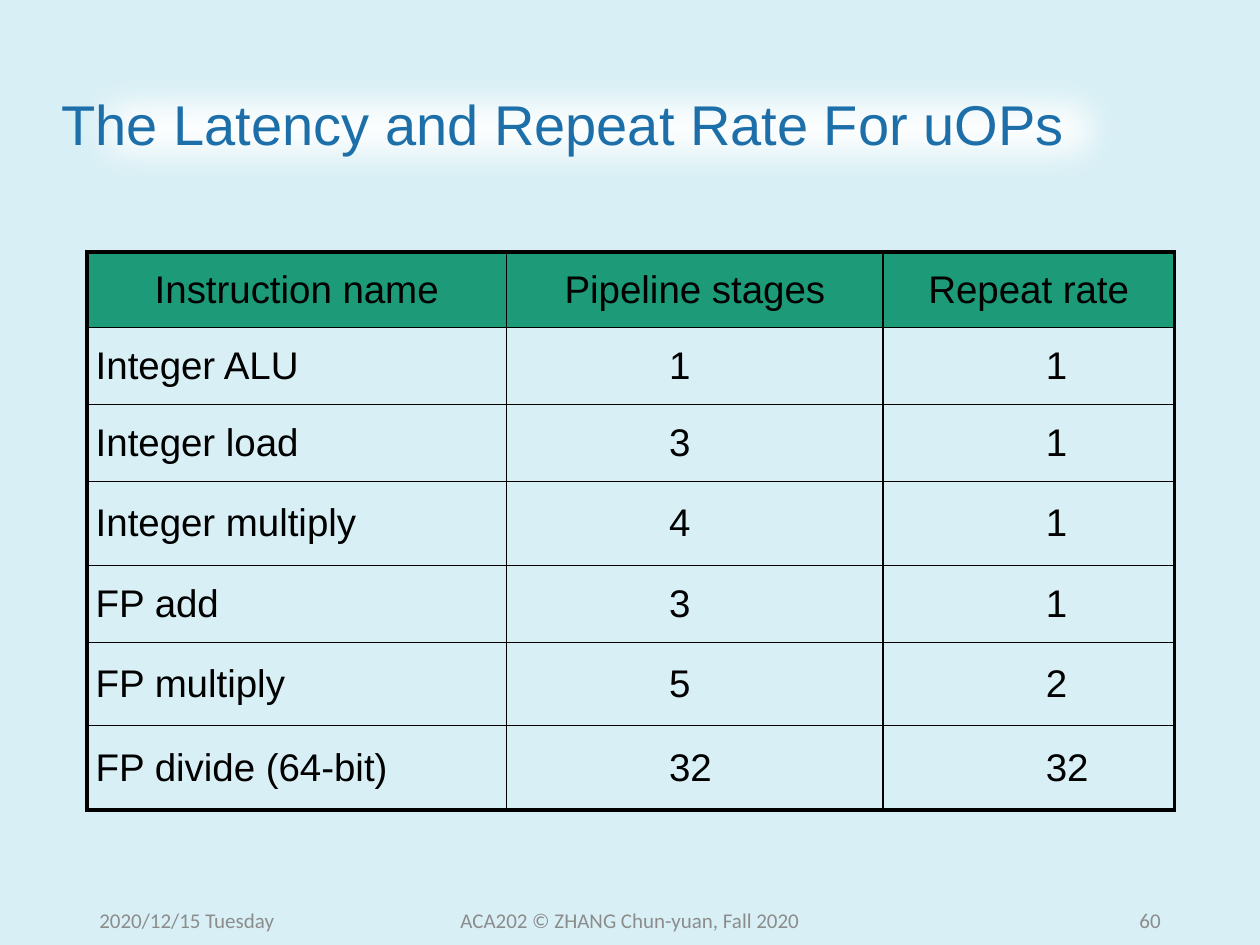
from typing import NamedTuple

from lxml.etree import SubElement
from pptx import Presentation
from pptx.dml.color import RGBColor
from pptx.enum.shapes import MSO_SHAPE
from pptx.enum.text import MSO_ANCHOR, PP_ALIGN
from pptx.oxml import parse_xml
from pptx.oxml.ns import nsdecls, qn
from pptx.util import Emu, Inches, Pt

BACKGROUND = RGBColor(0xD7, 0xEF, 0xF5)
WHITE = RGBColor(0xFF, 0xFF, 0xFF)
BLACK = RGBColor(0x00, 0x00, 0x00)
BLUE = RGBColor(0x1D, 0x6F, 0xA9)
GREEN = RGBColor(0x1D, 0x9A, 0x78)
GRAY = RGBColor(0x8C, 0x8C, 0x8C)

WIDTH, HEIGHT = Inches(10), Inches(7.5)
THICK, THIN = Pt(2.25), Pt(1)
NUMBER_INDENT = Inches(1.22)


class Box(NamedTuple):
    """Place and size as percentages of the slide."""
    x: float
    y: float
    w: float
    h: float

    def emu(self) -> list[Emu]:
        sides = (WIDTH, HEIGHT, WIDTH, HEIGHT)
        return [Emu(int(share * side / 100)) for share, side in zip(self, sides)]


class Footer(NamedTuple):
    text: str
    box: Box
    align: PP_ALIGN


TITLE_BOX = Box(3.9, 5.33, 86.9, 16.4)
TABLE_BOX = Box(6.9, 26.67, 86.3, 59.07)
COLUMNS = (3.33, 2.99, 2.31)
ROWS = (0.6, 0.61, 0.61, 0.67, 0.61, 0.66, 0.67)
DATA = (
    ("Instruction name", "Pipeline stages", "Repeat rate"),
    ("Integer ALU", "1", "1"),
    ("Integer load", "3", "1"),
    ("Integer multiply", "4", "1"),
    ("FP add", "3", "1"),
    ("FP multiply", "5", "2"),
    ("FP divide (64-bit)", "32", "32"),
)
FOOTERS = (
    Footer("2020/12/15 Tuesday", Box(6.9, 94.67, 22.5, 5.33), PP_ALIGN.LEFT),
    Footer("ACA202 © ZHANG Chun-yuan, Fall 2020",
           Box(33.1, 94.67, 33.8, 5.33), PP_ALIGN.CENTER),
    Footer("60", Box(70.6, 94.67, 22.5, 5.33), PP_ALIGN.RIGHT),
)


def write(tf, text: str, align: PP_ALIGN, color: RGBColor, **font):
    """Put one formatted run in the frame and return its paragraph."""
    tf.word_wrap = True
    p = tf.paragraphs[0]
    p.alignment = align
    r = p.add_run()
    r.text = text
    r.font.color.rgb = color
    for name, value in font.items():
        setattr(r.font, name, value)
    return p


def draw_title(s) -> None:
    sp = s.shapes.add_shape(MSO_SHAPE.RECTANGLE, *TITLE_BOX.emu())
    sp.shadow.inherit = False
    sp.fill.solid()
    sp.fill.fore_color.rgb = WHITE
    sp.line.fill.background()
    effects = sp._element.spPr.find(qn("a:effectLst"))
    SubElement(effects, qn("a:softEdge"), rad=str(Pt(25)))
    sp.text_frame.vertical_anchor = MSO_ANCHOR.MIDDLE
    p = write(sp.text_frame, "The Latency and Repeat Rate For uOPs",
              PP_ALIGN.LEFT, BLUE, name="Arial", size=Pt(32))
    p.line_spacing = 0.9


def set_borders(cell, row: int, col: int) -> None:
    """Thick lines on the table's outline, thin ones inside."""
    outer = {"lnL": col == 0, "lnR": col == len(COLUMNS) - 1,
             "lnT": row == 0, "lnB": row == len(ROWS) - 1}
    tcPr = cell._tc.get_or_add_tcPr()
    for i, (tag, is_outer) in enumerate(outer.items()):
        tcPr.insert(i, parse_xml(
            f'<a:{tag} {nsdecls("a")} w="{THICK if is_outer else THIN}">'
            f'<a:solidFill><a:srgbClr val="{BLACK}"/></a:solidFill></a:{tag}>'))


def draw_cell(cell, text: str, row: int, col: int) -> None:
    layout = {
        "vertical_anchor": MSO_ANCHOR.MIDDLE,
        "margin_left": Inches(0.07), "margin_right": Inches(0.07),
        "margin_top": Inches(0.04), "margin_bottom": Inches(0.04),
    }
    for name, value in layout.items():
        setattr(cell, name, value)
    if row == 0:
        cell.fill.solid()
        cell.fill.fore_color.rgb = GREEN
    else:
        cell.fill.background()
    p = write(cell.text_frame, text,
              PP_ALIGN.CENTER if row == 0 else PP_ALIGN.LEFT,
              BLACK, name="Arial", size=Pt(22))
    if row and col:
        p._p.get_or_add_pPr().set("marL", str(NUMBER_INDENT))
    set_borders(cell, row, col)


def draw_table(s) -> None:
    table = s.shapes.add_table(len(ROWS), len(COLUMNS), *TABLE_BOX.emu()).table
    table.first_row = table.horz_banding = False
    for column, width in zip(table.columns, COLUMNS):
        column.width = Inches(width)
    for row, height in zip(table.rows, ROWS):
        row.height = Inches(height)
    for i, values in enumerate(DATA):
        for j, text in enumerate(values):
            draw_cell(table.cell(i, j), text, i, j)


def draw_footer(s, footer: Footer) -> None:
    tf = s.shapes.add_textbox(*footer.box.emu()).text_frame
    tf.vertical_anchor = MSO_ANCHOR.MIDDLE
    write(tf, footer.text, footer.align, GRAY, name="Calibri", size=Pt(12))


def main() -> None:
    prs = Presentation()
    prs.slide_width, prs.slide_height = WIDTH, HEIGHT
    s = prs.slides.add_slide(prs.slide_layouts[6])
    s.background.fill.solid()
    s.background.fill.fore_color.rgb = BACKGROUND

    draw_title(s)
    draw_table(s)
    for footer in FOOTERS:
        draw_footer(s, footer)
    prs.save("out.pptx")


if __name__ == "__main__":
    main()
